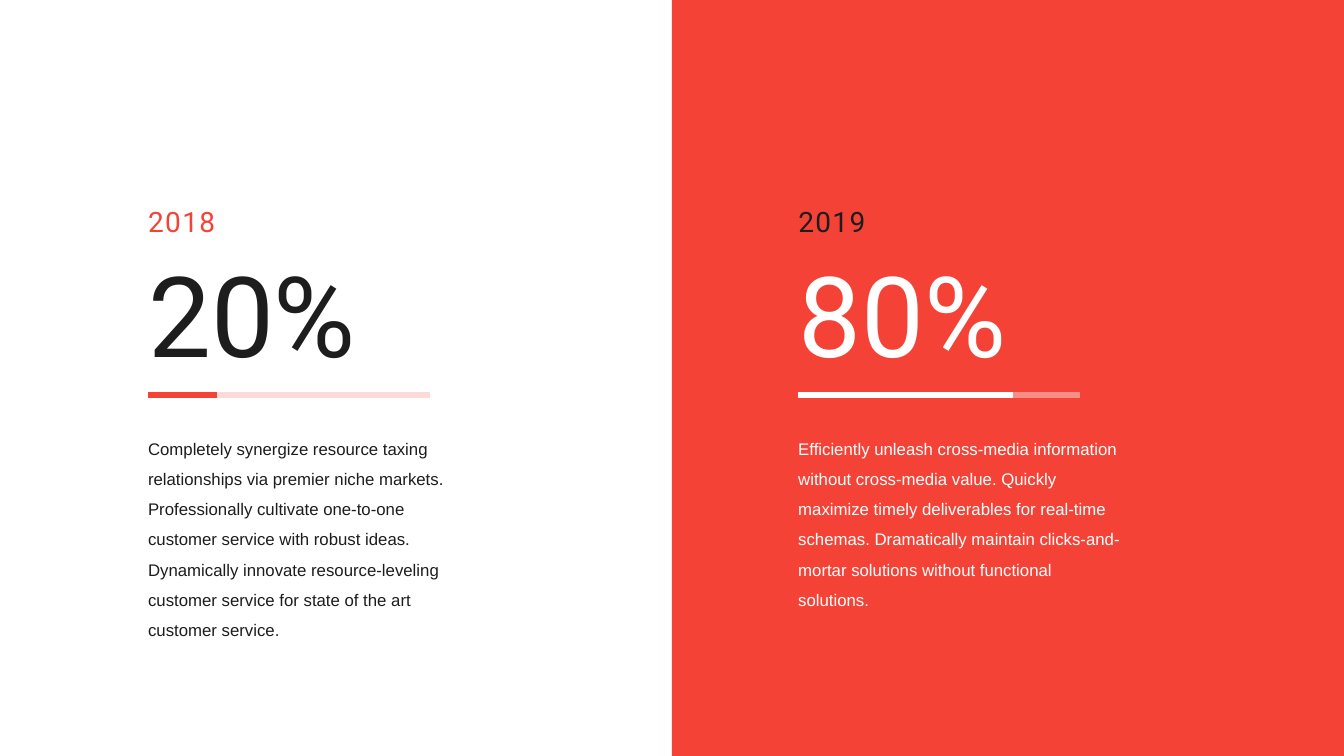
from dataclasses import dataclass
from lxml.etree import SubElement
from pptx import Presentation
from pptx.dml.color import RGBColor
from pptx.enum.shapes import MSO_CONNECTOR, MSO_SHAPE
from pptx.enum.text import MSO_ANCHOR, MSO_AUTO_SIZE
from pptx.oxml.ns import qn
from pptx.util import Pt


@dataclass(frozen=True)
class Theme:
    red: str = "F44336"
    dark: str = "1D1D1D"
    white: str = "FFFFFF"
    pale_track: str = "FDD9D7"
    red_track: str = "F88E86"
    heading_font: str = "Roboto"
    body_font: str = "Arial"
    year_size: int = 20
    percent_size: int = 80
    body_size: int = 12


theme = Theme()


def add_text(text, box, font, size, color, spacing, anchor=MSO_ANCHOR.TOP):
    tf = s.shapes.add_textbox(*map(Pt, box)).text_frame
    tf.margin_left = tf.margin_top = tf.margin_right = tf.margin_bottom = 0
    tf.word_wrap = True
    tf.auto_size = MSO_AUTO_SIZE.SHAPE_TO_FIT_TEXT
    tf.vertical_anchor = anchor
    tf.text = text
    p = tf.paragraphs[0]
    p.line_spacing = spacing
    r = p.runs[0]
    r.font.name = font
    r.font.size = Pt(size)
    r.font.color.rgb = RGBColor.from_string(color)
    return r


def add_bar(left, width, color):
    y = Pt(282.2)
    line = s.shapes.add_connector(
        MSO_CONNECTOR.STRAIGHT, Pt(left), y, Pt(left + width), y)
    line.line.color.rgb = RGBColor.from_string(color)
    line.line.width = Pt(4)
    SubElement(line._element.spPr, qn("a:effectLst"))


prs = Presentation()
prs.slide_width = Pt(960)
prs.slide_height = Pt(540)
s = prs.slides.add_slide(prs.slide_layouts[6])
s.background.fill.solid()
s.background.fill.fore_color.rgb = RGBColor.from_string(theme.white)

panel = s.shapes.add_shape(MSO_SHAPE.RECTANGLE, Pt(480), 0, Pt(480), Pt(540))
panel.shadow.inherit = False
panel.fill.solid()
panel.fill.fore_color.rgb = RGBColor.from_string(theme.red)
panel.line.fill.background()

columns = [
    (105.8, "2018", "20%", 49, 155.5, theme.red, theme.dark,
     theme.pale_track, theme.red,
     "Completely synergize resource taxing relationships via premier niche "
     "markets. Professionally cultivate one-to-one customer service with "
     "robust ideas. Dynamically innovate resource-leveling customer service "
     "for state of the art customer service."),
    (570.2, "2019", "80%", 153.4, 131, theme.dark, theme.white,
     theme.red_track, theme.white,
     "Efficiently unleash cross-media information without cross-media value. "
     "Quickly maximize timely deliverables for real-time schemas. "
     "Dramatically maintain clicks-and-mortar solutions without functional "
     "solutions."),
]

for (left, year, percent, filled, body_height, year_color, text_color,
     track_color, bar_color, body) in columns:
    add_text(percent, (left, 165.6, 321, 106.6), theme.heading_font,
             theme.percent_size, text_color, 1.1)
    add_text(body, (left, 306, 230.4, body_height), theme.body_font,
             theme.body_size, text_color, 1.5)
    r = add_text(year, (left, 141.1, 142.6, 28.8), theme.heading_font,
                 theme.year_size, year_color, 1.2, MSO_ANCHOR.BOTTOM)
    r.font._element.set("spc", "100")
    add_bar(left, 201.2, track_color)
    add_bar(left, filled, bar_color)

prs.save("out.pptx")
